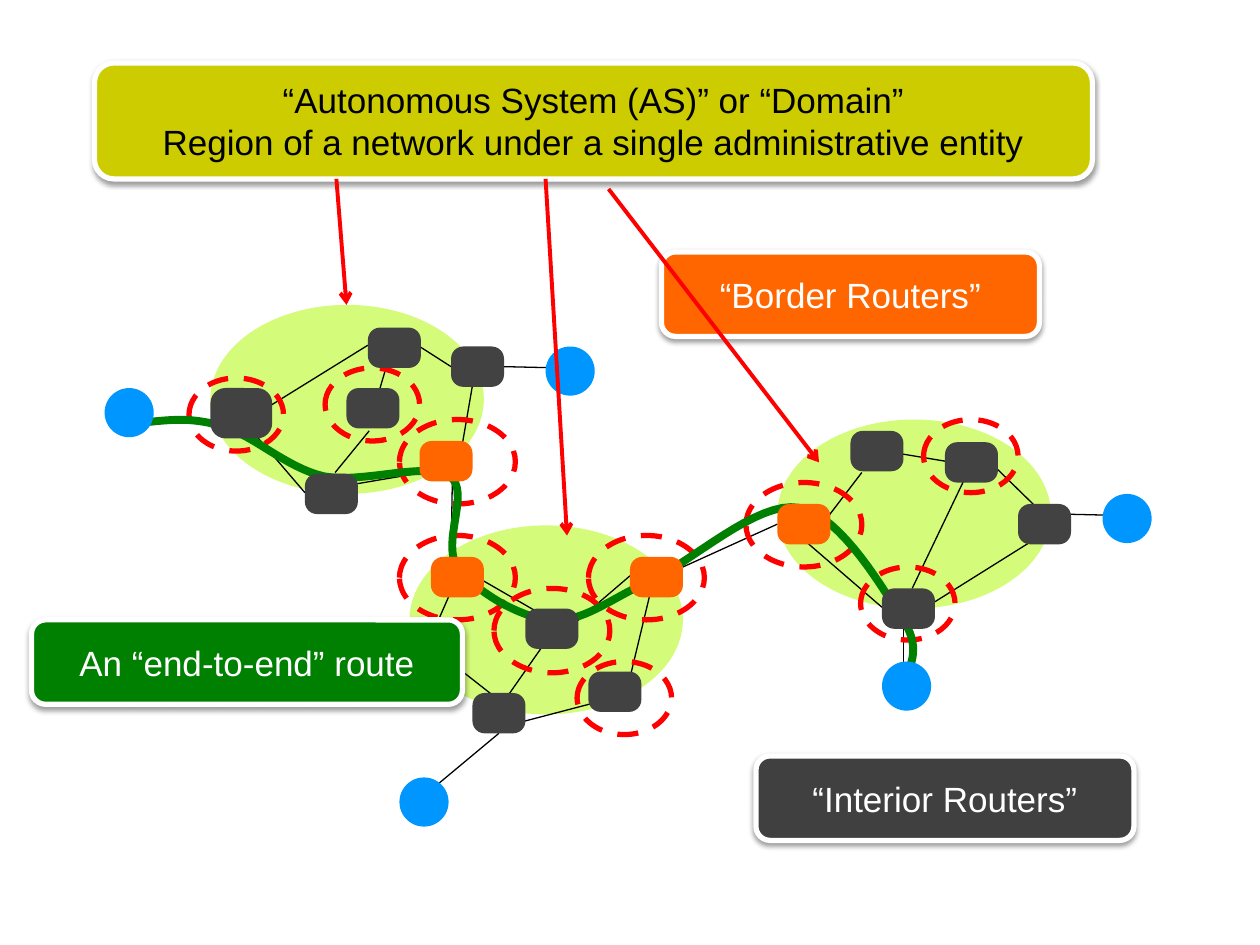
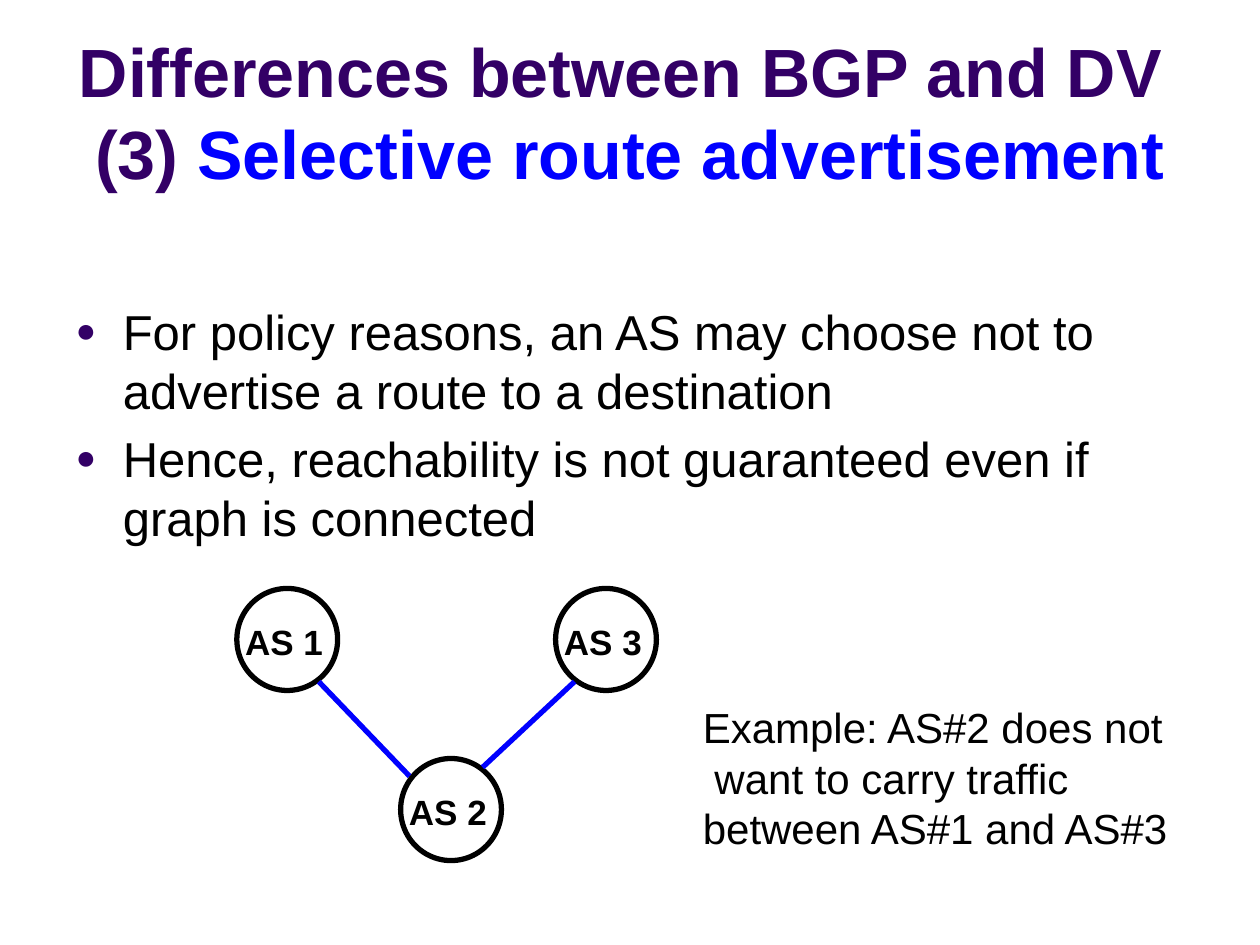
"""Build two slides on routing between autonomous systems."""
from dataclasses import dataclass

from lxml import etree
from pptx import Presentation
from pptx import util as u
from pptx.dml.color import RGBColor
from pptx.enum import dml, shapes, text
from pptx.oxml import ns

FONT = "Arial"
BLACK = RGBColor(0x00, 0x00, 0x00)
WHITE = RGBColor(0xFF, 0xFF, 0xFF)
LIME = RGBColor(0xD4, 0xFB, 0x79)
OLIVE = RGBColor(0xCC, 0xCC, 0x00)
ORANGE = RGBColor(0xFF, 0x66, 0x00)
GREEN = RGBColor(0x00, 0x80, 0x00)
SKY = RGBColor(0x00, 0x96, 0xFF)
SLATE = RGBColor(0x42, 0x42, 0x42)
GREY = RGBColor(0x40, 0x40, 0x40)
RED = RGBColor(0xFF, 0x00, 0x00)
BLUE = RGBColor(0x00, 0x00, 0xFF)
PURPLE = RGBColor(0x33, 0x00, 0x66)

OVAL = shapes.MSO_SHAPE.OVAL
ROUND = shapes.MSO_SHAPE.ROUNDED_RECTANGLE
CENTER = text.PP_ALIGN.CENTER
MIDDLE = text.MSO_ANCHOR.MIDDLE


@dataclass
class Box:
    """Place and size in inches."""
    x: float
    y: float
    w: float
    h: float

    def spans(self) -> list:
        """Give left, top, width and height as lengths."""
        return [span(v) for v in (self.x, self.y, self.w, self.h)]


@dataclass
class Link:
    """Line between two points in inches."""
    x: float
    y: float
    to_x: float
    to_y: float


@dataclass
class Look:
    """Font size, colour and weight of a run."""
    size: float
    color: RGBColor
    bold: bool = False


@dataclass
class Label:
    """Framed callout with its lines of text."""
    box: Box
    fill: RGBColor
    ink: RGBColor
    lines: tuple


AREAS = [Box(x, y, 2.17, 1.5) for x, y in ((3.25, 4.17), (6.17, 3.33), (1.67, 2.42))]
HOSTS = [Box(x, y, 0.39, 0.39) for x, y in (
    (0.83, 3.08), (3.17, 6.17), (4.33, 2.75), (7, 5.25), (8.75, 3.92))]
WIDE = [Box(x, y, 0.92, 0.67) for x, y in (
    (4.67, 4.25), (5.92, 3.83), (3.17, 3.33), (3.17, 4.25), (3.92, 4.67))]
SMALL = [Box(x, y, 0.75, 0.58) for x, y in (
    (1.5, 3), (2.58, 2.92), (4.58, 5.25), (7.33, 3.33), (6.83, 4.5))]
BORDER = [Box(x, y, 0.42, 0.32) for x, y in (
    (6.17, 4), (3.33, 3.5), (3.42, 4.42), (5, 4.42))]
INNER = [Box(1.67, 3.08, 0.49, 0.4)] + [Box(x, y, 0.42, 0.32) for x, y in (
    (2.42, 3.76), (2.92, 2.6), (2.75, 3.08), (3.58, 2.75), (3.75, 5.5), (4.17, 4.83),
    (4.67, 5.33), (7.5, 3.51), (6.75, 3.42), (7, 4.67), (8.08, 4))]
WIRES = [Link(*ends) for ends in (
    (1.17, 3.32, 1.6, 3.32), (4, 2.91, 4.43, 2.92), (8.42, 4.08, 8.85, 4.09),
    (3.42, 6.27, 3.96, 5.82), (2.08, 3.26, 2.92, 2.74), (3.76, 3, 3.66, 3.58),
    (2, 3.42, 2.42, 3.91), (2.93, 3.42, 2.66, 3.75), (2.83, 3.84, 3.42, 3.74),
    (3.58, 2.91, 3.33, 2.75), (3.09, 2.83, 2.99, 3.17), (3.59, 3.83, 3.58, 4.4),
    (4.34, 4.9, 3.75, 4.56), (3.41, 5.08, 3.59, 4.67), (3.57, 5.25, 3.99, 5.58),
    (5.17, 4.67, 4.99, 5.42), (5, 4.57, 4.58, 4.93), (4.1, 5.74, 4.75, 5.57),
    (3.99, 5.58, 4.34, 5.08), (6.17, 4.16, 5.42, 4.5), (6.34, 4.25, 7, 4.82),
    (8.26, 4.25, 7.35, 4.82), (7.5, 3.66, 7.08, 3.59), (6.84, 3.75, 6.58, 4.09),
    (8.26, 4.06, 7.85, 3.66), (7.24, 4.67, 7.68, 3.75), (7.17, 5.33, 7.17, 4.98))]
ARROWS = [Link(2.67, 1.42, 2.75, 2.42), Link(4.33, 1.42, 4.5, 4.25),
          Link(4.83, 1.5, 6.5, 3.67)]
ROUTE = [(1.17, 3.35),
         (1.36, 3.33), (1.55, 3.31), (1.78, 3.39), (2.02, 3.46), (2.27, 3.71), (2.57, 3.78),
         (2.87, 3.84), (3.39, 3.66), (3.57, 3.78), (3.74, 3.9), (3.5, 4.3), (3.63, 4.5),
         (3.77, 4.69), (4.12, 4.9), (4.37, 4.92), (4.63, 4.94), (4.83, 4.76), (5.16, 4.61),
         (5.49, 4.46), (6.01, 3.97), (6.34, 4.03), (6.68, 4.08), (7.04, 4.73), (7.18, 4.94),
         (7.32, 5.16), (7.2, 5.33), (7.2, 5.33)]
BACK = [
    Label(Box(6, 6, 3, 0.67), GREY, WHITE, ("“Interior Routers”",)),
    Label(Box(0.75, 0.5, 7.92, 0.92), OLIVE, BLACK, (
        "“Autonomous System (AS)” or “Domain”",
        "Region of a network under a single administrative entity"))]
FRONT = [
    Label(Box(5.25, 2, 3, 0.67), ORANGE, WHITE, ("“Border Routers”",)),
    Label(Box(0.25, 4.92, 3.42, 0.67), GREEN, WHITE, ("An “end-to-end” route",))]
NODES = {"AS 2": (3.18, 6.02), "AS 3": (4.41, 4.67), "AS 1": (1.88, 4.67)}
EDGES = [Link(3.83, 6.09, 4.56, 5.41), Link(3.25, 6.16, 2.53, 5.41)]
POINTS = ("For policy reasons, an AS may choose not to advertise a route to a destination",
          "Hence, reachability is not guaranteed even if graph is connected")
NOTE = ("Example: AS#2 does not", " want to carry traffic", "between AS#1 and AS#3")


def span(inches: float) -> u.Length:
    """Turn inches into a length."""
    return u.Cm(inches * 2.54)


def sub(node, tag: str, **attrs: str):
    """Append a drawing element."""
    return etree.SubElement(node, ns.qn("a:" + tag), attrs)


def add_run(para, words: str, look: Look) -> None:
    """Add one styled run."""
    run = para.add_run()
    run.text = words
    font = run.font
    font.name, font.size, font.bold = FONT, u.Pt(look.size), look.bold
    font.color.rgb = look.color


def add_lines(para, lines: tuple, look: Look) -> None:
    """Add runs parted by line breaks."""
    for i, line in enumerate(lines):
        if i:
            para.add_line_break()
        add_run(para, line, look)


def add_form(slide, kind, box: Box, fill=None, edge=None, width: float = 3):
    """Draw a preset shape, filled, edged or both."""
    form = slide.shapes.add_shape(kind, *box.spans())
    form.shadow.inherit = False
    if fill is None:
        form.fill.background()
    else:
        form.fill.solid()
        form.fill.fore_color.rgb = fill
    if edge is None:
        form.line.fill.background()
    else:
        form.line.color.rgb = edge
        form.line.width = u.Pt(width)
    return form


def add_link(slide, link: Link, color: RGBColor, width: float, arrow: bool = False) -> None:
    """Draw a straight line, with an arrowhead if asked."""
    ends = [span(v) for v in (link.x, link.y, link.to_x, link.to_y)]
    line = slide.shapes.add_connector(shapes.MSO_CONNECTOR.STRAIGHT, *ends)
    line.line.color.rgb = color
    line.line.width = u.Pt(width)
    if arrow:
        sub(line.line._get_or_add_ln(), "tailEnd", type="arrow")
    sub(line._element.spPr, "effectLst")


def add_label(slide, label: Label) -> None:
    """Draw a callout with a white frame and a soft shadow."""
    form = add_form(slide, ROUND, label.box, label.fill, WHITE)
    glow = form._element.spPr.find(ns.qn("a:effectLst"))
    shade = sub(glow, "outerShdw", blurRad=str(u.Pt(3.1)), dist=str(u.Pt(1.6)),
                dir="5400000", rotWithShape="0")
    sub(sub(shade, "srgbClr", val=str(BLACK)), "alpha", val="38000")
    frame = form.text_frame
    frame.word_wrap, frame.vertical_anchor = False, MIDDLE
    para = frame.paragraphs[0]
    para.alignment = CENTER
    add_lines(para, label.lines, Look(20, label.ink))


def add_text(slide, box: Box, lines: tuple, look: Look):
    """Add a text box that does not wrap."""
    frame = slide.shapes.add_textbox(*box.spans()).text_frame
    frame.word_wrap = False
    add_lines(frame.paragraphs[0], lines, look)
    return frame


def trace(knots: list, steps: int = 16) -> list:
    """Sample a chain of cubic curves."""
    spots = []
    for i in range(0, len(knots) - 1, 3):
        for step in range(1, steps + 1):
            t = step / steps
            parts = ((1 - t) ** 3, 3 * t * (1 - t) ** 2, 3 * t * t * (1 - t), t ** 3)
            spots.append(tuple(
                span(sum(p * knot[axis] for p, knot in zip(parts, knots[i:i + 4])))
                for axis in (0, 1)))
    return spots


def add_route(slide) -> None:
    """Draw the end-to-end route as an open curve."""
    pen = slide.shapes.build_freeform(*(span(v) for v in ROUTE[0]))
    pen.add_line_segments(trace(ROUTE), close=False)
    curve = pen.convert_to_shape()
    curve.shadow.inherit = False
    curve.fill.background()
    curve.line.color.rgb = GREEN
    curve.line.width = u.Pt(4.5)


def draw_map(slide) -> None:
    """Draw the map of domains, routers and hosts."""
    for area in AREAS:
        add_form(slide, OVAL, area, LIME)
    for wire in WIRES:
        add_link(slide, wire, BLACK, 0.75)
    for label in BACK:
        add_label(slide, label)
    for ring in WIDE + SMALL:
        add_form(slide, OVAL, ring, edge=RED).line.dash_style = dml.MSO_LINE.DASH
    add_route(slide)
    for host in HOSTS:
        add_form(slide, OVAL, host, SKY)
    for group, color in ((INNER, SLATE), (BORDER, ORANGE)):
        for box in group:
            add_form(slide, ROUND, box, color).adjustments[0] = 0.3
    for label in FRONT:
        add_label(slide, label)
    for arrow in ARROWS:
        add_link(slide, arrow, RED, 2.25, True)


def place(holder, box: Box):
    """Move a placeholder and return its text frame."""
    holder.left, holder.top, holder.width, holder.height = box.spans()
    frame = holder.text_frame
    frame.auto_size = text.MSO_AUTO_SIZE.NONE
    return frame


def add_point(para, words: str) -> None:
    """Fill one bulleted paragraph."""
    para.space_before = u.Pt(5.6)
    props = para._p.get_or_add_pPr()
    props.set("marL", str(span(0.375)))
    props.set("indent", str(-span(0.375)))
    sub(sub(props, "buClr"), "srgbClr", val=str(PURPLE))
    sub(props, "buSzPct", val="70000")
    sub(props, "buFont", typeface=FONT)
    sub(props, "buChar", char="●")
    add_run(para, words, Look(28, BLACK))


def draw_policy(slide) -> None:
    """Fill the slide on selective advertisement."""
    frame = place(slide.shapes.title, Box(0, 0.3, 10, 1.28))
    frame.vertical_anchor = text.MSO_ANCHOR.BOTTOM
    para = frame.paragraphs[0]
    para.alignment = CENTER
    add_lines(para, ("Differences between BGP and DV ", "(3) "), Look(39, PURPLE, True))
    add_run(para, "Selective route advertisement", Look(39, BLUE, True))

    frame = place(slide.placeholders[1], Box(0.5, 2.34, 9, 4.82))
    for i, words in enumerate(POINTS):
        add_point(frame.add_paragraph() if i else frame.paragraphs[0], words)

    for name, (x, y) in NODES.items():
        add_form(slide, OVAL, Box(x, y, 0.8, 0.81), edge=BLACK)
        tag = add_text(slide, Box(x - 0.04, y + 0.2, 0.83, 0.44), (name,), Look(20, BLACK, True))
        tag.vertical_anchor = MIDDLE
        tag.paragraphs[0].alignment = CENTER
    for edge in EDGES:
        add_link(slide, edge, BLUE, 3)
    add_text(slide, Box(5.48, 5.52, 3.93, 1.31), NOTE, Look(24, BLACK))


def main() -> None:
    """Build and save the deck."""
    deck = Presentation()
    deck.slide_width, deck.slide_height = span(10), span(7.5)
    draw_map(deck.slides.add_slide(deck.slide_layouts[6]))
    draw_policy(deck.slides.add_slide(deck.slide_layouts[1]))
    deck.save("out.pptx")


if __name__ == "__main__":
    main()
